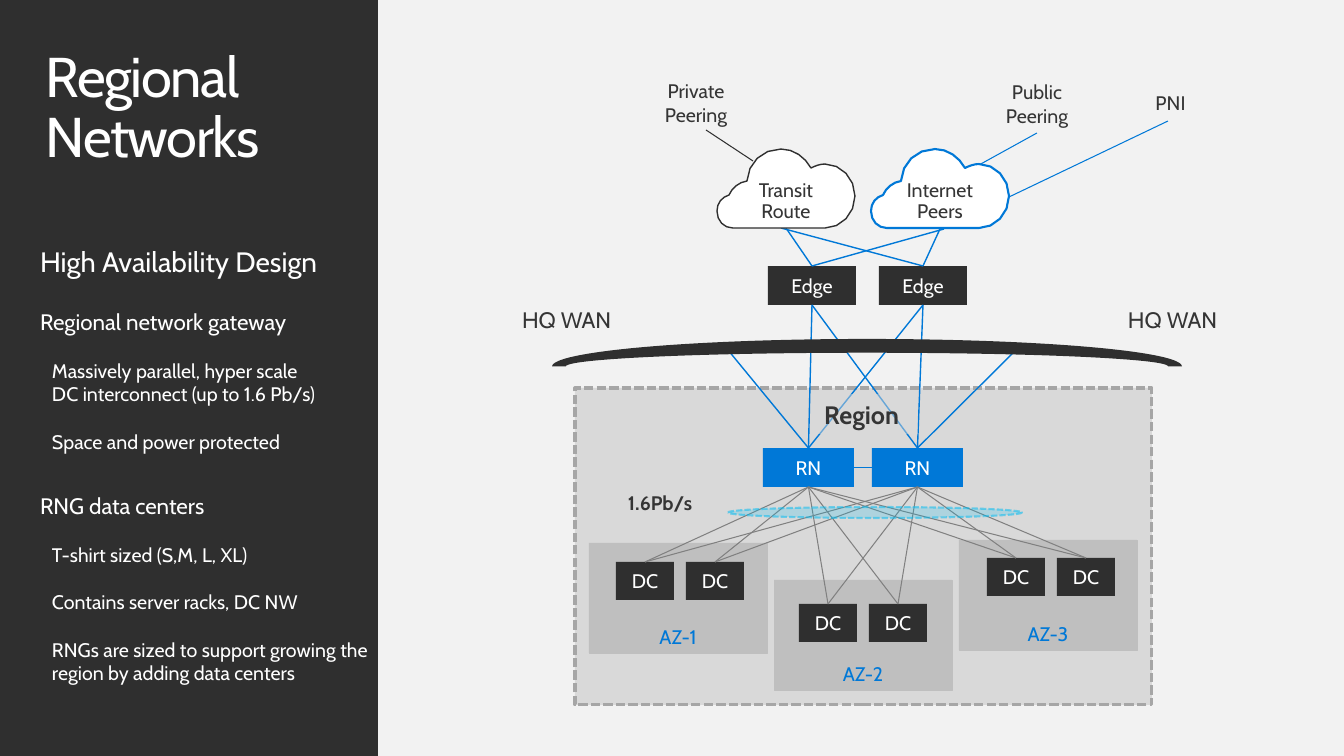
import itertools

import pptx
import pptx.dml.color
import pptx.enum.dml
import pptx.enum.shapes
import pptx.enum.text
import pptx.oxml
import pptx.oxml.ns
import pptx.util

RGB = pptx.dml.color.RGBColor
SHAPE = pptx.enum.shapes.MSO_SHAPE
ALIGN = pptx.enum.text.PP_ALIGN
ANCHOR = pptx.enum.text.MSO_ANCHOR
DASH = pptx.enum.dml.MSO_LINE.SQUARE_DOT

DARK = RGB(0x2F, 0x2F, 0x2F)
INK = RGB(0x35, 0x35, 0x35)
WHITE = RGB(0xFF, 0xFF, 0xFF)
PAPER = RGB(0xF2, 0xF2, 0xF2)
BLUE = RGB(0x00, 0x78, 0xD7)
CYAN = RGB(0x00, 0xBC, 0xF2)
GRAY = RGB(0x80, 0x80, 0x80)
REGION_FILL = RGB(0xD9, 0xD9, 0xD9)
REGION_EDGE = RGB(0xA6, 0xA6, 0xA6)
ZONE_FILL = RGB(0xBF, 0xBF, 0xBF)

FONT = "Cabin"
EMU_PER_PX = 914400 / 100.8
TOP, LEFT, BOTTOM, RIGHT = 0, 1, 2, 3

# The flat base runs from CLOUD_START to CLOUD_BASE;
# each curve then lists two controls and an end
CLOUD_START, CLOUD_BASE = (108, 79), (16, 79)
CLOUD_CURVES = [
    ((7, 79), (0, 72), (0, 62)),
    ((0, 54), (5, 48), (12, 46)),
    ((15, 39), (22, 33), (30, 32)),
    ((31, 14), (45, 0), (64, 0)),
    ((77, 0), (88, 8), (94, 19)),
    ((98, 17), (103, 15), (108, 15)),
    ((124, 15), (138, 29), (138, 47)),
    ((138, 65), (124, 79), CLOUD_START),
]
CURVE_STEPS = 4

# Text, size, indent in px, space before in points
DESIGN_NOTES = [
    ("High Availability Design", 20, 0, 0),
    ("Regional network gateway", 16, 0, 21),
    ("Massively parallel, hyper scale", 14, 12, 17),
    ("DC interconnect (up to 1.6 Pb/s)", 14, 12, 0),
    ("Space and power protected", 14, 12, 17),
    ("RNG data centers", 16, 0, 28),
    ("T-shirt sized (S,M, L, XL)", 14, 12, 17),
    ("Contains server racks, DC NW", 14, 12, 17),
    ("RNGs are sized to support growing the region by adding data centers", 14, 12, 17),
]

# Name, zone corner, first data center corner
ZONES = [
    ("AZ-2", (774, 580), (799, 604)),
    ("AZ-3", (959, 540), (987, 558)),
    ("AZ-1", (589, 543), (616, 562)),
]


def px(n):
    return pptx.util.Emu(round(n * EMU_PER_PX))


def write(tf, lines, size, color, align=ALIGN.LEFT, bold=False, spacing=None):
    """Write one paragraph per line; a newline inside one is a line break."""
    for i, line in enumerate(lines):
        p = tf.add_paragraph() if i else tf.paragraphs[0]
        p.alignment = align
        if spacing:
            p.line_spacing = spacing
        for j, part in enumerate(line.split("\n")):
            if j:
                p.add_line_break()
            add_run(p, part, size, color, bold)


def add_run(p, text, size, color, bold=False):
    r = p.add_run()
    r.text = text
    r.font.name, r.font.size, r.font.bold = FONT, pptx.util.Pt(size), bold
    r.font.color.rgb = color
    return r


def set_frame(tf, anchor, side, end, wrap=True):
    tf.word_wrap = wrap
    tf.vertical_anchor = anchor
    tf.margin_left = tf.margin_right = px(side)
    tf.margin_top = tf.margin_bottom = px(end)


def paint(sp, fill, line=None, width=1, dash=None):
    sp.shadow.inherit = False
    sp.fill.solid()
    sp.fill.fore_color.rgb = fill
    if line is None:
        sp.line.fill.background()
        return
    sp.line.color.rgb = line
    sp.line.width = pptx.util.Pt(width)
    if dash:
        sp.line.dash_style = dash


def set_opacity(sp, *percents):
    """Apply opacity to the fill colour, then to the line colour."""
    colors = list(sp._element.spPr.iter(pptx.oxml.ns.qn("a:srgbClr")))
    for color, percent in zip(colors, percents):
        color.append(pptx.oxml.parse_xml(
            f'<a:alpha {pptx.oxml.ns.nsdecls("a")} val="{percent * 1000}"/>'))


def add_box(s, box, fill, kind=SHAPE.RECTANGLE, **line):
    sp = s.shapes.add_shape(kind, *map(px, box))
    paint(sp, fill, **line)
    return sp


def add_node(s, text, box, fill, color=WHITE, anchor=ANCHOR.MIDDLE, **line):
    sp = add_box(s, box, fill, **line)
    set_frame(sp.text_frame, anchor, 0, 5)
    write(sp.text_frame, [text], 14, color, ALIGN.CENTER)
    return sp


def add_label(s, lines, box, size=14, margins=(10, 5), **style):
    tf = s.shapes.add_textbox(*map(px, box)).text_frame
    set_frame(tf, ANCHOR.TOP, *margins, wrap=False)
    write(tf, lines, size, INK, **style)


def add_link(s, start, end, color, width, sides=(BOTTOM, TOP)):
    """Draw a line; each end is either a point in px or a shape to join."""
    points = [px(n) for e in (start, end) for n in (e if isinstance(e, tuple) else (0, 0))]
    c = s.shapes.add_connector(pptx.enum.shapes.MSO_CONNECTOR.STRAIGHT, *points)
    if not isinstance(start, tuple):
        c.begin_connect(start, sides[0])
    if not isinstance(end, tuple):
        c.end_connect(end, sides[1])
    c.line.color.rgb = color
    c.line.width = pptx.util.Pt(width)
    c._element.spPr.append(
        pptx.oxml.parse_xml(f'<a:effectLst {pptx.oxml.ns.nsdecls("a")}/>'))


def cloud_points(x, y):
    """Sample the cloud outline as points in EMU."""
    last = CLOUD_BASE
    points = [(px(x + last[0]), px(y + last[1]))]
    for a, b, end in CLOUD_CURVES:
        for i in range(1, CURVE_STEPS + 1):
            t = i / CURVE_STEPS
            u = 1 - t
            points.append(tuple(
                px(o + u**3 * p0 + 3 * u * u * t * p1 + 3 * u * t * t * p2 + t**3 * p3)
                for o, p0, p1, p2, p3 in zip((x, y), last, a, b, end)))
        last = end
    return points


def add_cloud(s, lines, x, y, color, width):
    first, *rest = cloud_points(x, y)
    builder = s.shapes.build_freeform(*first)
    builder.add_line_segments(rest, close=True)
    sp = builder.convert_to_shape()
    paint(sp, WHITE, line=color, width=width)
    set_frame(sp.text_frame, ANCHOR.BOTTOM, 10, 5)
    write(sp.text_frame, lines, 14, INK, ALIGN.CENTER, spacing=0.9)


def add_sidebar(s):
    add_box(s, (0, 0, 378, 756), DARK)
    tf = s.shapes.add_textbox(*map(px, (30, 39, 349, 99))).text_frame
    set_frame(tf, ANCHOR.TOP, 16, 10)
    p = tf.paragraphs[0]
    p.line_spacing = 0.9
    r = add_run(p, "Regional Networks", 40, WHITE)
    r._r.get_or_add_rPr().set("spc", "-100")

    tf = s.shapes.add_textbox(*map(px, (30, 240, 356, 454))).text_frame
    set_frame(tf, ANCHOR.TOP, 10, 5)
    for i, (text, size, indent, before) in enumerate(DESIGN_NOTES):
        p = tf.add_paragraph() if i else tf.paragraphs[0]
        p._p.get_or_add_pPr().set("marL", str(px(indent)))
        if before:
            p.space_before = pptx.util.Pt(before)
        add_run(p, text, size, WHITE)


def add_network(s):
    add_box(s, (575, 388, 577, 317), REGION_FILL, line=REGION_EDGE, width=2.25, dash=DASH)
    centers = []
    for name, zone, (x, y) in ZONES:
        add_node(s, name, (*zone, 178, 110), ZONE_FILL, BLUE, ANCHOR.BOTTOM,
                 line=ZONE_FILL, width=0.5)
        centers += [add_node(s, "DC", (x + i * 70, y, 58, 38), DARK) for i in range(2)]
    gateways = [add_node(s, "RN", (763 + i * 109, 448, 91, 39), BLUE) for i in range(2)]
    edges = [add_node(s, "Edge", (768 + i * 111, 266, 88, 39), DARK) for i in range(2)]

    for edge, gateway in itertools.product(edges, gateways):
        add_link(s, edge, gateway, BLUE, 1)
    for gateway, center in itertools.product(gateways, centers):
        add_link(s, gateway, center, GRAY, 0.75)
    for x, gateway in zip((728, 1016), gateways):
        add_link(s, (x, 350), gateway, BLUE, 1)
    for (x, y), edge in zip(((786, 228), (781, 228), (944, 229), (940, 229)), edges * 2):
        add_link(s, (x, y), edge, BLUE, 1)
    add_link(s, *gateways, BLUE, 1.25, sides=(RIGHT, LEFT))

    capacity = add_box(s, (728, 507, 294, 11), CYAN, SHAPE.OVAL,
                       line=CYAN, width=1.5, dash=DASH)
    set_opacity(capacity, 20, 50)
    add_label(s, ["1.6Pb/s"], (618, 486, 90, 34), bold=True)
    add_box(s, (552, 339, 630, 55), DARK, SHAPE.BLOCK_ARC)
    for x in (502, 1108):
        add_label(s, ["HQ WAN"], (x, 297, 133, 56), 16, (20, 16), spacing=0.9)

    region = add_box(s, (814, 394, 104, 40), REGION_FILL)
    set_opacity(region, 48)
    set_frame(region.text_frame, ANCHOR.TOP, 10, 5, wrap=False)
    write(region.text_frame, ["Region"], 18, INK, bold=True)


def add_peering(s):
    add_link(s, (979, 165), (1037, 133), BLUE, 0.75)
    add_link(s, (1009, 197), (1168, 121), BLUE, 0.75)
    add_link(s, (753, 161), (706, 130), DARK, 0.75)
    add_label(s, ["Private", "Peering"], (653, 74, 86, 57), align=ALIGN.CENTER)
    add_label(s, ["Public", "Peering"], (994, 75, 86, 57), align=ALIGN.CENTER)
    add_label(s, ["PNI"], (1145, 86, 51, 34), align=ALIGN.CENTER)
    add_cloud(s, ["Transit", "Route"], 717, 149, DARK, 1)
    add_cloud(s, ["Internet\nPeers"], 871, 149, BLUE, 1.5)


def main():
    prs = pptx.Presentation()
    prs.slide_width, prs.slide_height = px(1344), px(756)
    s = prs.slides.add_slide(prs.slide_layouts[6])
    s.background.fill.solid()
    s.background.fill.fore_color.rgb = PAPER
    add_sidebar(s)
    add_network(s)
    add_peering(s)
    prs.save("out.pptx")


if __name__ == "__main__":
    main()
